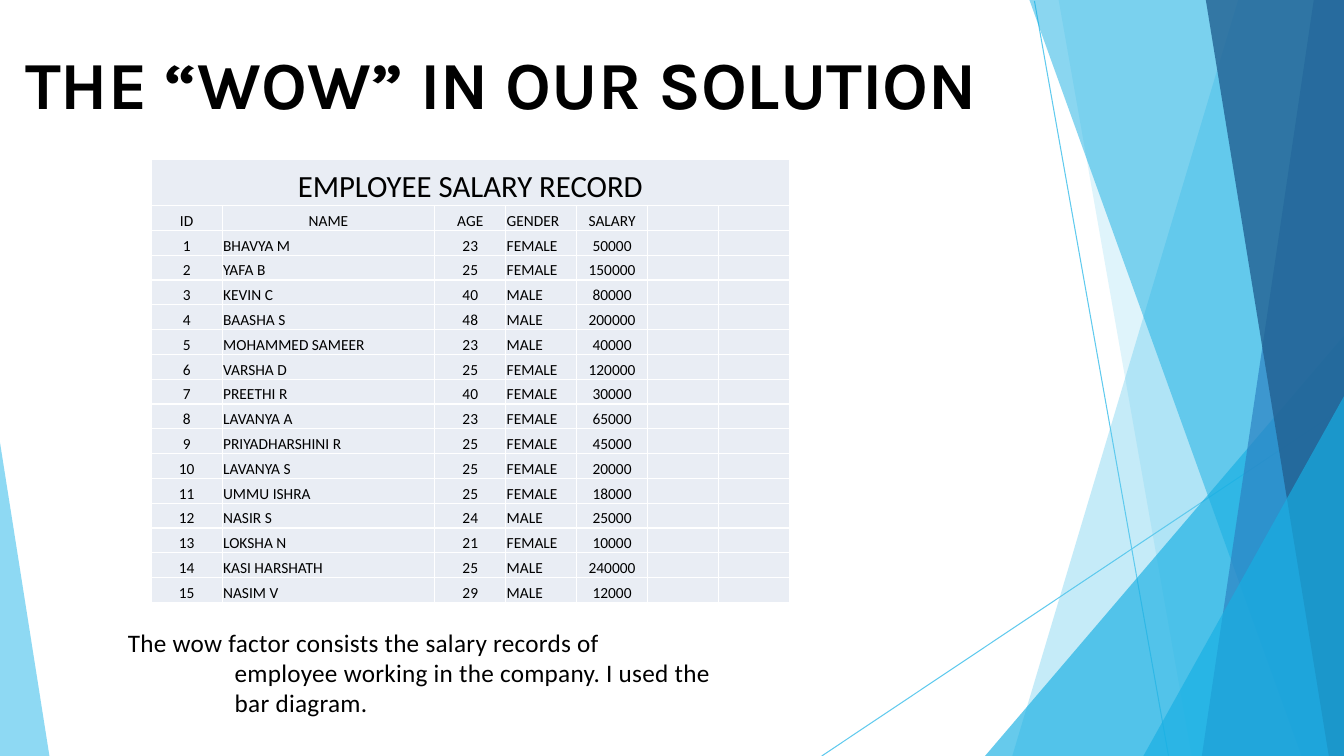
from lxml import etree
from pptx import Presentation
from pptx import util as u
from pptx.dml import color
from pptx.enum import shapes, text
from pptx.oxml import ns

PX = 9144
SLIDE_W, SLIDE_H = 1333, 750
BLACK, WHITE, CELL_FILL, SKY = "000000", "FFFFFF", "E9EDF4", "5FCAEE"
CYAN, BLUE, NAVY = "17AFE3", "2D83C3", "226192"

RAYS = [((1026, 1), (1159, 750)), ((1333, 404), (815, 750))]
FACETS = [
    (SKY, 36, [(1333, 0), (1228, 0), (1004, 750), (1333, 750)]),
    (SKY, 20, [(1333, 0), (1050, 0), (1182, 750), (1333, 750)]),
    (CYAN, 66, [(1333, 333), (977, 750), (1333, 750)]),
    (CYAN, 50, [(1333, 0), (1021, 0), (1291, 750), (1333, 750)]),
    (BLUE, 70, [(1333, 0), (1303, 0), (1192, 750), (1333, 750)]),
    (NAVY, 80, [(1333, 0), (1196, 0), (1318, 750), (1333, 750)]),
    (CYAN, 66, [(1333, 393), (1134, 750), (1333, 750)]),
    (SKY, 70, [(0, 439), (0, 750), (49, 750)]),
]
HEADINGS = ("ID", "NAME", "AGE", "GENDER", "SALARY", "", "")
EMPLOYEES = [
    ("BHAVYA M", 23, "FEMALE", 50000),
    ("YAFA B", 25, "FEMALE", 150000),
    ("KEVIN C", 40, "MALE", 80000),
    ("BAASHA S", 48, "MALE", 200000),
    ("MOHAMMED SAMEER", 23, "MALE", 40000),
    ("VARSHA D", 25, "FEMALE", 120000),
    ("PREETHI R", 40, "FEMALE", 30000),
    ("LAVANYA A", 23, "FEMALE", 65000),
    ("PRIYADHARSHINI R", 25, "FEMALE", 45000),
    ("LAVANYA S", 25, "FEMALE", 20000),
    ("UMMU ISHRA", 25, "FEMALE", 18000),
    ("NASIR S", 24, "MALE", 25000),
    ("LOKSHA N", 21, "FEMALE", 10000),
    ("KASI HARSHATH", 25, "MALE", 240000),
    ("NASIM V", 29, "MALE", 12000),
]
CAPTION = ("The wow factor consists the salary records of\v"
           "employee working in the company. I used the\vbar diagram.")


def px(length):
    """Turn px into EMU."""
    return u.Emu(round(length * PX))


def paint(target, hex_code):
    """Set the colour of a font, line or fill from a hex string."""
    if hasattr(target, "solid"):
        target.solid()
        target = target.fore_color
    else:
        target = target.color
    target.rgb = color.RGBColor.from_string(hex_code)


def write(frame, words, size, font="Calibri", bold=False, align="LEFT"):
    """Write one black paragraph into a text frame and return it."""
    paragraph = frame.paragraphs[0]
    paragraph.text = words
    paragraph.alignment = getattr(text.PP_ALIGN, align)
    for run in paragraph.runs:
        run.font.size, run.font.name, run.font.bold = u.Pt(size), font, bold
        paint(run.font, BLACK)
    if not words:
        etree.SubElement(paragraph._p, ns.qn("a:endParaRPr"), sz=str(size * 100))
    return paragraph


def draw_facets(slide):
    """Draw the two rays and the translucent facets at the slide edges."""
    for start, end in RAYS:
        ray = slide.shapes.add_connector(
            shapes.MSO_CONNECTOR.STRAIGHT, *map(px, start + end))
        paint(ray.line, SKY)
        ray.line.width = u.Pt(0.75)
        etree.SubElement(ray._element.spPr, ns.qn("a:effectLst"))
    for hex_code, opacity, corners in FACETS:
        outline = slide.shapes.build_freeform(*corners[0], scale=PX)
        outline.add_line_segments(corners[1:], close=True)
        facet = outline.convert_to_shape()
        facet.shadow.inherit = False
        facet.line.fill.background()
        paint(facet.fill, hex_code)
        tint = facet._element.spPr.find(".//" + ns.qn("a:srgbClr"))
        etree.SubElement(tint, ns.qn("a:alpha"), val=str(opacity * 1000))


def place_title(slide, left, top, width, height):
    """Place the title in its box, in front of the facets."""
    title = slide.shapes.title
    slide.shapes._spTree.append(title._element)
    title.left, title.top, title.width, title.height = map(px, (left, top, width, height))
    frame = title.text_frame
    frame.margin_left = frame.margin_right = frame.margin_top = frame.margin_bottom = 0
    frame.vertical_anchor = text.MSO_ANCHOR.TOP
    frame.auto_size = text.MSO_AUTO_SIZE.SHAPE_TO_FIT_TEXT
    write(frame, "THE “WOW” IN OUR SOLUTION", 48, font="Karla", bold=True)


def style_cell(cell):
    """Give a cell its fill, tight margins and white borders."""
    cell.margin_left = cell.margin_right = cell.margin_top = px(1)
    cell.margin_bottom = 0
    cell.vertical_anchor = text.MSO_ANCHOR.BOTTOM
    properties = cell._tc.get_or_add_tcPr()
    for side in ("lnL", "lnR", "lnT", "lnB"):
        border = etree.SubElement(properties, ns.qn("a:" + side), w=str(u.Pt(1)))
        solid = etree.SubElement(border, ns.qn("a:solidFill"))
        etree.SubElement(solid, ns.qn("a:srgbClr"), val=WHITE)
    paint(cell.fill, CELL_FILL)


def place_salaries(slide, left, top, width, height):
    """Fill the box with the employee salary table."""
    records = [("EMPLOYEE SALARY RECORD",) + ("",) * 6, HEADINGS]
    records += [(number, *employee, "", "")
                for number, employee in enumerate(EMPLOYEES, 1)]
    table = slide.shapes.add_table(
        len(records), len(HEADINGS), *map(px, (left, top, width, height))).table
    name_width, banner_height = 211, 46
    for index, column in enumerate(table.columns):
        column.width = px(name_width if index == 1 else
                          (width - name_width) / (len(HEADINGS) - 1))
    for index, row in enumerate(table.rows):
        row.height = px(banner_height if index == 0 else
                        (height - banner_height) / (len(records) - 1))
    for r, record in enumerate(records):
        for c, entry in enumerate(record):
            cell = table.cell(r, c)
            style_cell(cell)
            left_aligned = c == 3 or (c == 1 and r > 1)
            write(cell.text_frame, str(entry), 11 if r else 22,
                  align="LEFT" if left_aligned else "CENTER")
    table.cell(0, 0).merge(table.cell(0, len(HEADINGS) - 1))


def place_caption(slide, left, top, width, height):
    """Place the caption with its hanging indent."""
    frame = slide.shapes.add_textbox(*map(px, (left, top, width, height))).text_frame
    frame.word_wrap = True
    frame.auto_size = text.MSO_AUTO_SIZE.SHAPE_TO_FIT_TEXT
    paragraph = write(frame, CAPTION, 18)
    indent = paragraph._p.get_or_add_pPr()
    indent.set("marL", str(px(106)))
    indent.set("indent", str(px(-106)))
    for run in paragraph.runs:
        run._r.get_or_add_rPr().set("spc", "20")


def main():
    """Build the slide and save it."""
    deck = Presentation()
    deck.slide_width, deck.slide_height = px(SLIDE_W), px(SLIDE_H)
    slide = deck.slides.add_slide(deck.slide_layouts[5])
    paint(slide.background.fill, WHITE)
    draw_facets(slide)
    place_title(slide, 25, 42, 1017, 83)
    place_salaries(slide, 150, 158, 633, 440)
    place_caption(slide, 117, 617, 633, 101)
    deck.save("out.pptx")


if __name__ == "__main__":
    main()
